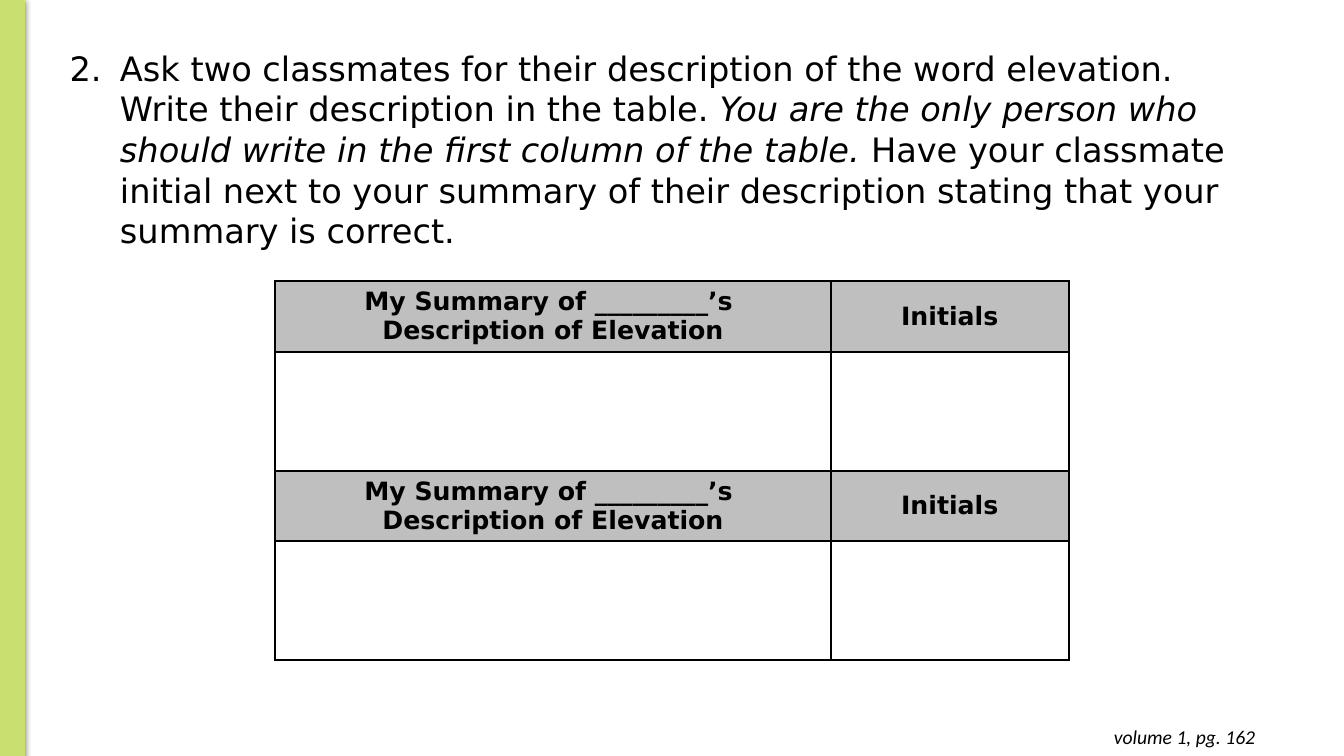
"""Build a classroom slide with a numbered instruction and a table for two classmates."""
from lxml import etree
from pptx import Presentation
from pptx.dml.color import RGBColor
from pptx.enum import shapes, text
from pptx.oxml import ns
from pptx.util import Inches, Pt

INSTRUCTION = [
    ("Ask two classmates for their description of the word elevation. "
     "Write their description in the table. ", False),
    ("You are the only person who should write in the first column of the table.", True),
    (" Have your classmate initial next to your summary of their description "
     "stating that your summary is correct.", False),
]
INSTRUCTION_NUMBER = 2
HEADINGS = ("My Summary of _________’s \nDescription of Elevation", "Initials")
CLASSMATES = 2
PAGE_REFERENCE = "volume 1, pg. 162"

BLACK = RGBColor(0, 0, 0)
GREEN = RGBColor(0xC9, 0xDF, 0x6F)
GREY = RGBColor(0xBF, 0xBF, 0xBF)
COLUMN_WIDTHS = (5.51, 2.36)
HEADING_HEIGHT, ANSWER_HEIGHT = 0.7, 1.18


def element(parent, markup):
    """Append a drawing element written as markup."""
    declared = markup.replace(" ", f' {ns.nsdecls("a")} ', 1)
    parent.append(etree.fromstring(declared))


def write(paragraph, words, size=18, font="DejaVu Sans", bold=False, italic=False,
          align=text.PP_ALIGN.LEFT):
    """Add formatted words to a paragraph, breaking lines at newlines."""
    paragraph.alignment = align
    for index, line in enumerate(words.split("\n")):
        if index:
            paragraph.add_line_break()
        run = paragraph.add_run()
        run.text = line
        run.font.size, run.font.name = Pt(size), font
        run.font.bold, run.font.italic = bold, italic
        run.font.color.rgb = BLACK


def add_side_band(slide):
    """Draw the green band along the left edge."""
    band = slide.shapes.add_shape(shapes.MSO_SHAPE.RECTANGLE, 0, Inches(-0.01),
                                  Inches(0.24), Inches(7.51))
    band.shadow.inherit = False
    band.fill.solid()
    band.fill.fore_color.rgb = band.line.color.rgb = GREEN
    band.line.width = Pt(0.75)
    effects = band._element.spPr.find(ns.qn("a:effectLst"))
    element(effects, f'<a:outerShdw blurRad="{Pt(4.5)}" dist="{Pt(1.5)}" dir="5400000" '
                     'rotWithShape="0"><a:srgbClr val="000000"><a:alpha val="50000"/>'
                     '</a:srgbClr></a:outerShdw>')


def add_instruction(slide):
    """Fill the body placeholder with the numbered instruction."""
    body = slide.placeholders[1]
    body.left, body.top = Inches(0.59), Inches(0.42)
    body.width, body.height = Inches(12.02), Inches(2.12)
    frame = body.text_frame
    frame.auto_size = text.MSO_AUTO_SIZE.SHAPE_TO_FIT_TEXT
    frame.vertical_anchor = text.MSO_ANCHOR.TOP
    paragraph = frame.paragraphs[0]
    properties = paragraph._p.get_or_add_pPr()
    properties.set("marL", str(Inches(0.5)))
    properties.set("indent", str(Inches(-0.5)))
    element(properties, '<a:buClr ><a:srgbClr val="000000"/></a:buClr>')
    element(properties, '<a:buFont typeface="DejaVu Sans"/>')
    element(properties, f'<a:buAutoNum type="arabicPeriod" startAt="{INSTRUCTION_NUMBER}"/>')
    paragraph.space_before = Pt(0)
    paragraph.line_spacing = Pt(29)
    for words, italic in INSTRUCTION:
        write(paragraph, words, size=24, italic=italic)


def add_borders(cell):
    """Draw a black line on each side of a cell."""
    properties = cell._tc.get_or_add_tcPr()
    fill = properties[0]
    properties.remove(fill)
    for side in "LRTB":
        element(properties, f'<a:ln{side} w="{Pt(1.5)}"><a:solidFill>'
                            f'<a:srgbClr val="{BLACK}"/></a:solidFill></a:ln{side}>')
    properties.append(fill)


def add_summary_table(slide):
    """Add a heading row and an empty answer row for each classmate."""
    heights = (HEADING_HEIGHT, ANSWER_HEIGHT) * CLASSMATES
    table = slide.shapes.add_table(
        len(heights), len(HEADINGS), Inches(2.73), Inches(2.79),
        Inches(sum(COLUMN_WIDTHS)), Inches(sum(heights))).table
    table.first_row = table.horz_banding = False
    for column, width in zip(table.columns, COLUMN_WIDTHS):
        column.width = Inches(width)
    for index, (row, height) in enumerate(zip(table.rows, heights)):
        row.height = Inches(height)
        for cell, heading in zip(row.cells, HEADINGS):
            if index % 2:
                cell.fill.background()
            else:
                cell.fill.solid()
                cell.fill.fore_color.rgb = GREY
                cell.vertical_anchor = text.MSO_ANCHOR.MIDDLE
                write(cell.text_frame.paragraphs[0], heading, bold=True,
                      align=text.PP_ALIGN.CENTER)
            add_borders(cell)


def add_page_reference(slide):
    """Put the page reference at the bottom right."""
    frame = slide.shapes.add_textbox(Inches(9.67), Inches(7.09), Inches(2.88),
                                     Inches(0.44)).text_frame
    frame.word_wrap = True
    frame.auto_size = text.MSO_AUTO_SIZE.SHAPE_TO_FIT_TEXT
    frame.margin_left = frame.margin_right = Inches(0.1)
    frame.margin_top = frame.margin_bottom = Inches(0.1)
    write(frame.paragraphs[0], PAGE_REFERENCE, size=14, font="Calibri", italic=True,
          align=text.PP_ALIGN.RIGHT)


def main():
    """Build and save the slide."""
    deck = Presentation()
    deck.slide_width, deck.slide_height = Inches(13.33), Inches(7.5)
    slide = deck.slides.add_slide(deck.slide_layouts[1])
    title = slide.shapes.title._element
    title.getparent().remove(title)
    add_side_band(slide)
    add_instruction(slide)
    add_summary_table(slide)
    add_page_reference(slide)
    deck.save("out.pptx")


if __name__ == "__main__":
    main()
